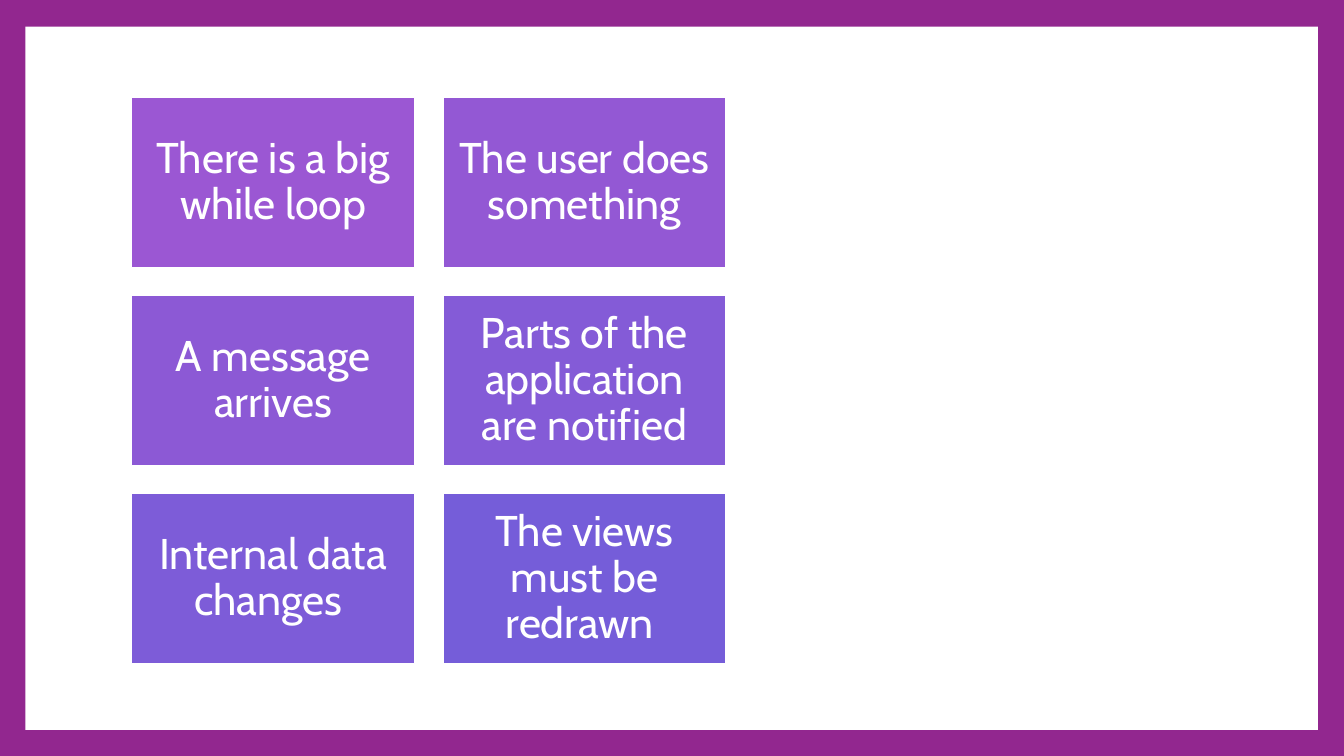
from pptx import Presentation
from pptx.dml.color import RGBColor
from pptx.enum.shapes import MSO_SHAPE
from pptx.enum.text import MSO_ANCHOR, PP_ALIGN
from pptx.util import Pt

RECT = MSO_SHAPE.RECTANGLE
MIDDLE = MSO_ANCHOR.MIDDLE
CENTER = PP_ALIGN.CENTER

PURPLE = RGBColor(0x92, 0x27, 0x8F)
WHITE = RGBColor(0xFF, 0xFF, 0xFF)
FIRST = RGBColor(0x9B, 0x57, 0xD3)
LAST = RGBColor(0x75, 0x5D, 0xD9)

COLS = 2
LEFT, TOP = 141.1, 104.6
WIDTH, HEIGHT = 303.2, 181.9
GAP = 30.3

STEPS = [
    "There is a big while loop",
    "The user does something",
    "A message arrives",
    "Parts of the application are notified",
    "Internal data changes ",
    "The views must be redrawn ",
]

FRAME = {
    "word_wrap": True,
    "vertical_anchor": MIDDLE,
    "margin_left": Pt(13.8),
    "margin_right": Pt(13.8),
    "margin_top": Pt(13.8),
    "margin_bottom": Pt(13.8),
}
PARA = {"alignment": CENTER, "line_spacing": 0.9}
FONT = {"name": "Cabin", "size": Pt(46)}


def apply(item, values):
    for name, value in values.items():
        setattr(item, name, value)


def blend(part):
    return RGBColor(*(round(a + (b - a) * part) for a, b in zip(FIRST, LAST)))


def add_rect(slide, left, top, width, height, color):
    rect = slide.shapes.add_shape(RECT, Pt(left), Pt(top), Pt(width), Pt(height))
    rect.shadow.inherit = False
    rect.fill.solid()
    rect.fill.fore_color.rgb = color
    rect.line.fill.background()
    return rect


def add_step(slide, index, text):
    row, col = divmod(index, COLS)
    left = LEFT + col * (WIDTH + GAP)
    top = TOP + row * (HEIGHT + GAP)
    color = blend(index / (len(STEPS) - 1))
    box = add_rect(slide, left, top, WIDTH, HEIGHT, color)
    box.line.color.rgb = WHITE
    box.line.width = Pt(1.5)
    frame = box.text_frame
    apply(frame, FRAME)
    para = frame.paragraphs[0]
    para.text = text
    apply(para, PARA)
    apply(para.font, FONT)
    para.font.color.rgb = WHITE


def main():
    deck = Presentation()
    deck.slide_width = Pt(1440)
    deck.slide_height = Pt(810)
    slide = deck.slides.add_slide(deck.slide_layouts[6])
    fill = slide.background.fill
    fill.solid()
    fill.fore_color.rgb = PURPLE
    add_rect(slide, 27.3, 28.6, 1384.8, 753.3, WHITE)
    for index, text in enumerate(STEPS):
        add_step(slide, index, text)
    deck.save("out.pptx")


if __name__ == "__main__":
    main()
